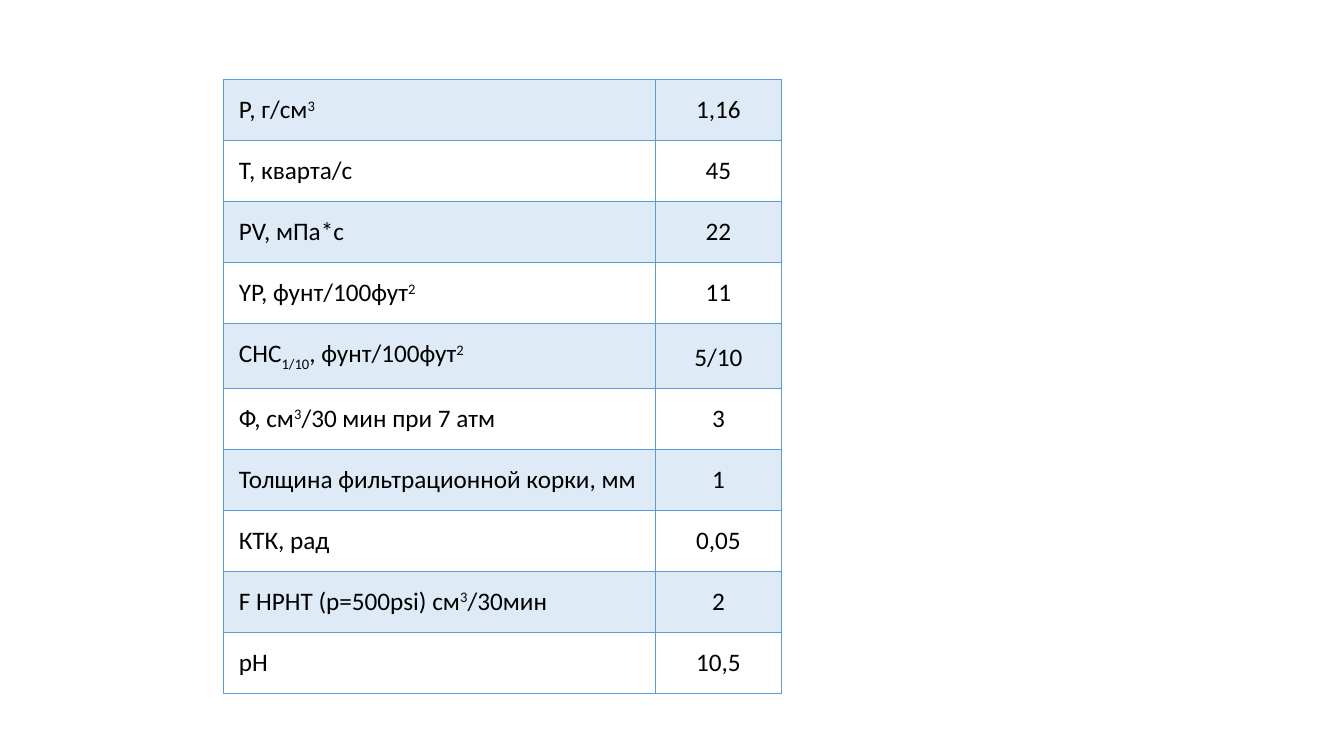
from lxml.etree import SubElement
from pptx import Presentation
from pptx.dml.color import RGBColor
from pptx.enum.text import MSO_ANCHOR, PP_ALIGN
from pptx.oxml.ns import qn
from pptx.util import Inches, Pt

ACCENT = "5B9BD5"
BAND = "DEEBF7"
BLACK = "000000"
SUP, SUB = 30, -25
COLUMNS = (4.28, 1.25)
PROPERTIES = [
    ([("Р, г/см", 0), ("3", SUP)], "1,16"),
    ([("Т, кварта/с", 0)], "45"),
    ([("PV, мПа*с", 0)], "22"),
    ([("YP, фунт/100фут", 0), ("2", SUP)], "11"),
    ([("СНС", 0), ("1/10", SUB), (", фунт/100фут", 0), ("2", SUP)], "5/10"),
    ([("Ф, см", 0), ("3", SUP), ("/30 мин при 7 атм", 0)], "3"),
    ([("Толщина фильтрационной корки, мм", 0)], "1"),
    ([("КТК, рад", 0)], "0,05"),
    ([("F HPHT (р=500psi) см", 0), ("3", SUP), ("/30мин", 0)], "2"),
    ([("рН", 0)], "10,5"),
]


def rgb(value):
    return RGBColor.from_string(value)


def add_text(p, text, size=18, font="Calibri", color=BLACK, baseline=0):
    r = p.add_run()
    r.text = text
    r.font.size = Pt(size)
    r.font.name = font
    r.font.bold = False
    r.font.color.rgb = rgb(color)
    if baseline:
        r._r.get_or_add_rPr().set("baseline", str(baseline * 1000))


def add_borders(cell, color=ACCENT, width=1):
    tc_pr = cell._tc.get_or_add_tcPr()
    for side in ("lnL", "lnR", "lnT", "lnB"):
        ln = SubElement(tc_pr, qn(f"a:{side}"), w=str(Pt(width)))
        fill = SubElement(ln, qn("a:solidFill"))
        SubElement(fill, qn("a:srgbClr"), val=color)


def fill_cell(cell, runs, align, banded, inset=0.15):
    add_borders(cell)
    if banded:
        cell.fill.solid()
        cell.fill.fore_color.rgb = rgb(BAND)
    else:
        cell.fill.background()
    cell.vertical_anchor = MSO_ANCHOR.BOTTOM
    cell.margin_left = cell.margin_right = Inches(inset)
    cell.margin_top = cell.margin_bottom = Inches(inset)
    p = cell.text_frame.paragraphs[0]
    p.alignment = align
    for text, baseline in runs:
        add_text(p, text, baseline=baseline)


def add_properties_table(s, left, top, width, height):
    frame = s.shapes.add_table(len(PROPERTIES), len(COLUMNS), Inches(left),
                               Inches(top), Inches(width), Inches(height))
    table = frame.table
    table.first_row = table.horz_banding = False
    for column, share in zip(table.columns, COLUMNS):
        column.width = Inches(width * share / sum(COLUMNS))
    for i, (label, value) in enumerate(PROPERTIES):
        banded = i % 2 == 0
        fill_cell(table.cell(i, 0), label, PP_ALIGN.LEFT, banded)
        fill_cell(table.cell(i, 1), [(value, 0)], PP_ALIGN.CENTER, banded)


def main():
    prs = Presentation()
    prs.slide_width, prs.slide_height = Inches(13.33), Inches(7.5)
    s = prs.slides.add_slide(prs.slide_layouts[6])
    add_properties_table(s, 2.22, 0.79, sum(COLUMNS), 6)
    prs.save("out.pptx")


if __name__ == "__main__":
    main()
